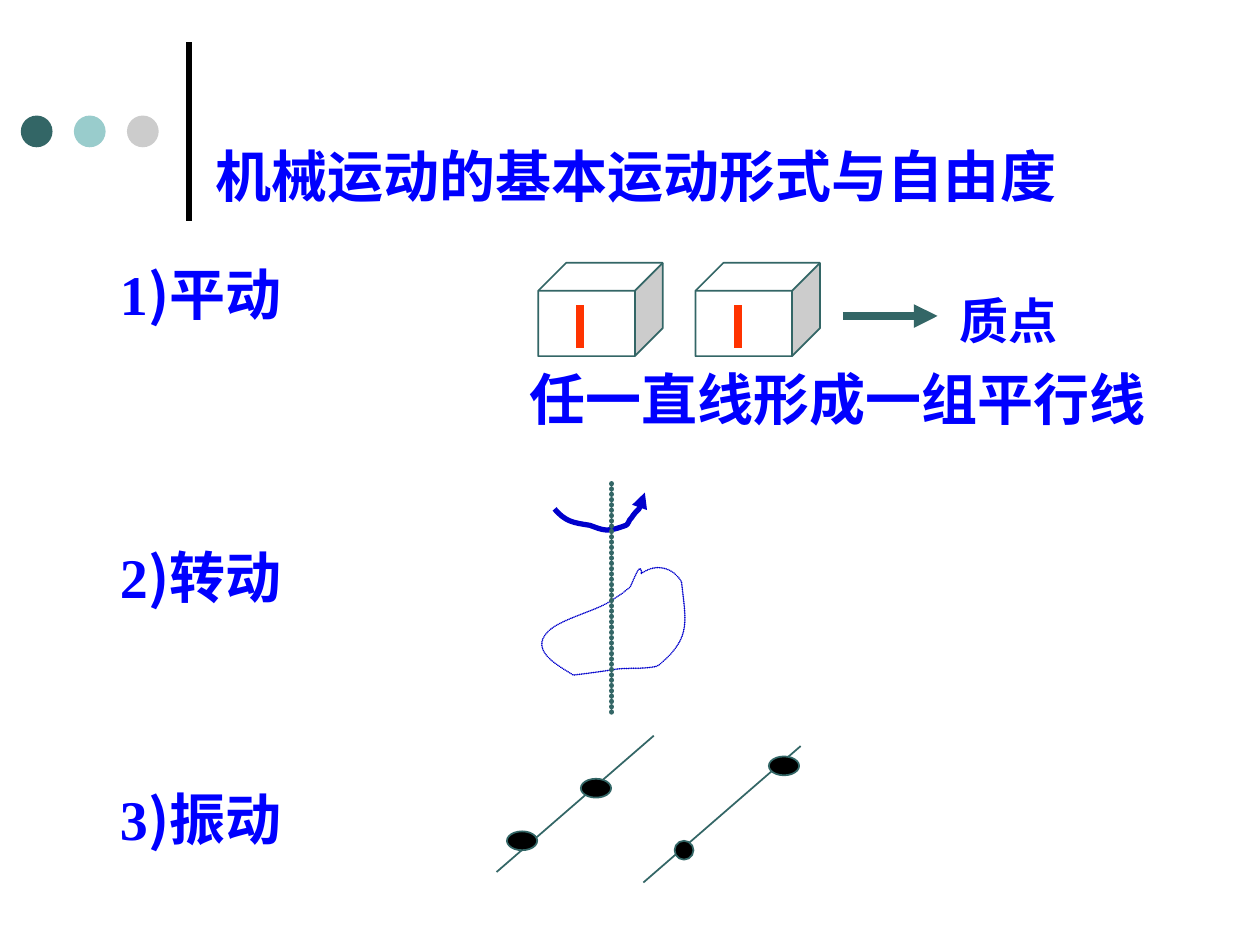
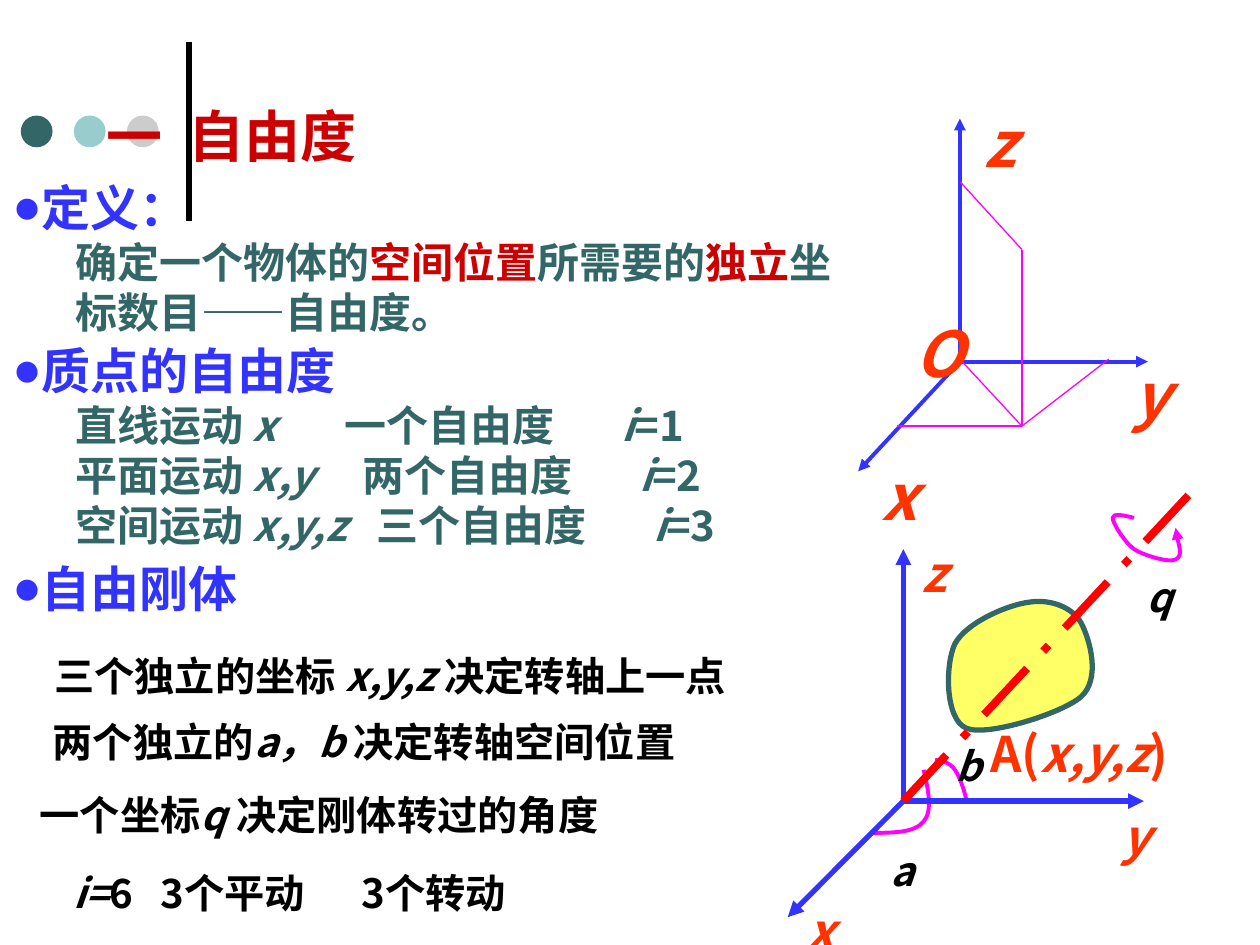
from lxml.etree import SubElement
from pptx import Presentation
from pptx.dml.color import RGBColor
from pptx.enum.dml import MSO_LINE as DASH
from pptx.enum.shapes import MSO_CONNECTOR as LINK, MSO_SHAPE as SHAPE
from pptx.oxml.ns import qn
from pptx.util import Cm, Pt

rgb = RGBColor.from_string
TEAL, BLUE, AXIS_BLUE, NAVY = "336666", "0000FF", "3333FF", "0000CC"
RED, ORANGE, MAGENTA, BLACK, WHITE = "CC0000", "FF3300", "FF00FF", "000000", "FFFFFF"
CJK, SERIF = "Noto Sans CJK SC", "Times New Roman"


def stroke(shape, color, width, arrow=False, dash=None):
    shape.line.color.rgb = rgb(color)
    shape.line.width = Pt(width)
    properties = shape.element.spPr
    outline = properties.find(qn("a:ln"))
    if dash == DASH.ROUND_DOT:
        outline.set("cap", "rnd")
        pattern = SubElement(outline, qn("a:custDash"))
        SubElement(pattern, qn("a:ds"), d="1000", sp="100000")
    elif dash:
        shape.line.dash_style = dash
    if arrow:
        SubElement(outline, qn("a:tailEnd"), type="triangle")
    SubElement(properties, qn("a:effectLst"))


def write(slide, box, lines, size, color, face=CJK, accent=None,
          tabs=(), topic=None, inset=True, wrap=True):
    frame = slide.shapes.add_textbox(*map(Cm, box)).text_frame
    frame.word_wrap = wrap
    frame.margin_left = frame.margin_right = Cm(0.25 if inset else 0)
    frame.margin_top = frame.margin_bottom = Cm(0.13 if inset else 0)
    for number, line in enumerate([topic] + lines if topic else lines):
        heads = bool(topic) and number == 0
        points, ink = (28, AXIS_BLUE) if heads else (size, color)
        paragraph = frame.add_paragraph() if number else frame.paragraphs[0]
        paragraph.line_spacing = Pt(points * 1.2)
        settings = paragraph._p.get_or_add_pPr()
        if heads:
            tint = SubElement(settings, qn("a:buClr"))
            SubElement(tint, qn("a:srgbClr"), val=ink)
            SubElement(settings, qn("a:buFont"), typeface=SERIF)
            SubElement(settings, qn("a:buChar"), char="●")
        elif tabs:
            stops = SubElement(settings, qn("a:tabLst"))
            for stop in tabs[number - bool(topic)]:
                SubElement(stops, qn("a:tab"), pos=str(Cm(stop)), algn="l")
        elif topic:
            settings.set("marL", str(Cm(1.27)))
            settings.set("indent", "0")
        for order, piece in enumerate(line.split("*")):
            if not piece:
                continue
            run = paragraph.add_run()
            run.text = piece
            marked = order % 2 == 1
            font = run.font
            font.name, font.size, font.bold = face, Pt(points), True
            font.italic = marked and accent is None
            font.color.rgb = rgb(accent if marked and accent else ink)
            SubElement(run._r.get_or_add_rPr(), qn("a:ea"), typeface=CJK)
    return frame


deck = Presentation()
deck.slide_width, deck.slide_height = Cm(25.4), Cm(19.05)
blank = deck.slide_layouts[6]
for placeholder in list(blank.placeholders):
    placeholder.element.getparent().remove(placeholder.element)
motions = deck.slides.add_slide(blank)
freedom = deck.slides.add_slide(blank)

divider = motions.shapes.add_connector(LINK.STRAIGHT, Cm(3.81), Cm(4.45), Cm(3.81), Cm(0.84))
stroke(divider, BLACK, 3)
blank.shapes.element.append(divider.element)
for place, color in enumerate([TEAL, "99CCCC", "CCCCCC"]):
    dot = motions.shapes.add_shape(SHAPE.OVAL, Cm(0.42 + place * 1.07), Cm(2.33), Cm(0.64), Cm(0.64))
    dot.fill.solid()
    dot.fill.fore_color.rgb = rgb(color)
    dot.line.fill.background()
    dot.shadow.inherit = False
    blank.shapes.element.append(dot.element)

rotating_body = [
    (12.93, 11.56), (13.23, 11.35), (13.56, 11.43), (13.74, 11.73),
    (13.82, 12.5), (13.94, 12.83), (13.36, 13.34),
    (13.31, 13.39), (13.26, 13.44), (13.21, 13.44),
    (12.95, 13.49), (12.67, 13.46), (12.42, 13.49),
    (12.14, 13.54), (11.56, 13.61), (11.56, 13.61),
    (11.33, 13.46), (10.64, 13.13), (11.05, 12.73),
    (11.28, 12.5), (11.91, 12.34), (12.22, 12.17),
    (12.32, 12.12), (12.42, 12.04), (12.55, 11.96),
    (12.6, 11.91), (12.7, 11.84), (12.7, 11.84),
    (12.73, 11.81), (12.93, 11.23), (12.93, 11.56)]
turning_arrow = [
    (11.18, 10.26), (11.4, 10.52), (11.56, 10.54), (11.89, 10.59),
    (12.17, 10.69), (12.22, 10.74), (12.62, 10.59),
    (12.67, 10.57), (12.67, 10.49), (12.73, 10.44),
    (12.78, 10.36), (12.83, 10.31), (12.88, 10.26),
    (12.93, 10.16), (13, 9.93), (13, 9.93)]
rigid_body = [
    (20.75, 12.14), (20.32, 12.19), (19.48, 12.55), (19.25, 12.98),
    (19.05, 13.41), (19.05, 14.5), (19.48, 14.68),
    (19.89, 14.86), (21.41, 14.38), (21.79, 14.05),
    (22.2, 13.69), (21.97, 12.88), (21.79, 12.55),
    (21.62, 12.24), (21.16, 12.07), (20.75, 12.14)]
angle_a = [
    (18.62, 15.52), (18.72, 15.93), (18.8, 16.36), (18.62, 16.56),
    (18.44, 16.79), (18.01, 16.79), (17.55, 16.79)]
angle_b = [
    (18.85, 15.32), (19, 15.34), (19.15, 15.37), (19.25, 15.52),
    (19.35, 15.65), (19.48, 16.05), (19.48, 16.15)]
angle_q = [
    (22.86, 10.44), (22.66, 10.39), (22.43, 10.34), (22.43, 10.44),
    (22.43, 10.54), (22.66, 10.92), (22.86, 11.07),
    (23.06, 11.2), (23.57, 11.35), (23.7, 11.28),
    (23.85, 11.2), (23.7, 10.74), (23.7, 10.64)]

for slide, knots, color, width, arrow, dash, fill in [
        (motions, rotating_body, NAVY, 1, False, DASH.ROUND_DOT, None),
        (motions, turning_arrow, NAVY, 3, True, None, None),
        (freedom, rigid_body, TEAL, 3, False, None, "FFFF66"),
        (freedom, angle_a, MAGENTA, 2.25, False, None, None),
        (freedom, angle_b, MAGENTA, 2.25, False, None, None),
        (freedom, angle_q, MAGENTA, 2.25, True, None, None)]:
    start, *rest = [(Cm(x), Cm(y)) for x, y in knots]
    outline = slide.shapes.build_freeform(*start)
    outline.add_line_segments(rest, close=knots[0] == knots[-1])
    curve = outline.convert_to_shape()
    segments = list(curve.element.iter(qn("a:lnTo")))[:len(rest)]
    for first in range(0, len(segments), 3):
        bend = SubElement(segments[first].getparent(), qn("a:cubicBezTo"))
        segments[first].addprevious(bend)
        for segment in segments[first:first + 3]:
            bend.append(segment[0])
            segment.getparent().remove(segment)
    if fill:
        curve.fill.solid()
        curve.fill.fore_color.rgb = rgb(fill)
    else:
        curve.fill.background()
    stroke(curve, color, width, arrow, dash)

for left in (10.85, 14.02):
    block = motions.shapes.add_shape(SHAPE.CUBE, Cm(left), Cm(5.3), Cm(2.51), Cm(1.88))
    block.adjustments[0] = 0.3
    block.fill.solid()
    block.fill.fore_color.rgb = rgb(WHITE)
    stroke(block, TEAL, 1)

for slide, color, width, arrow, dash, ends in [
        (motions, ORANGE, 4.5, False, None, [(11.7, 6.15, 11.7, 7.01), (14.87, 6.15, 14.87, 7.01)]),
        (motions, TEAL, 4.5, True, None, [(16.99, 6.37, 18.9, 6.37)]),
        (motions, TEAL, 3, False, DASH.ROUND_DOT, [(12.33, 9.75, 12.33, 14.4)]),
        (motions, TEAL, 1, False, None, [(10.01, 17.58, 13.18, 14.83), (12.97, 17.79, 16.14, 15.04)]),
        (freedom, AXIS_BLUE, 2.25, True, None, [
            (19.35, 7.29, 19.35, 2.39), (19.35, 7.29, 23.14, 7.29), (19.35, 7.29, 17.3, 9.5)]),
        (freedom, MAGENTA, 0.75, False, None, [
            (19.35, 3.66, 20.6, 5.03), (19.35, 7.24, 20.6, 8.59), (20.6, 5.03, 20.6, 8.59),
            (20.6, 8.59, 18.08, 8.59), (20.6, 8.59, 22.35, 7.24)]),
        (freedom, AXIS_BLUE, 3, True, None, [
            (18.21, 16.15, 18.21, 11.07), (18.21, 16.15, 23.06, 16.15), (18.21, 16.15, 15.88, 18.49)]),
        (freedom, "FF0000", 4.5, False, DASH.LONG_DASH_DOT, [(18.21, 16.15, 24.13, 9.8)])]:
    for span in ends:
        stroke(slide.shapes.add_connector(LINK.STRAIGHT, *map(Cm, span)), color, width, arrow, dash)

for left, top, width in [(10.22, 16.76, 0.61), (11.71, 15.7, 0.61),
                         (13.6, 16.95, 0.38), (15.5, 15.25, 0.61)]:
    bob = motions.shapes.add_shape(SHAPE.OVAL, Cm(left), Cm(top), Cm(width), Cm(0.38))
    bob.fill.solid()
    bob.fill.fore_color.rgb = rgb(BLACK)
    stroke(bob, TEAL, 1)

write(motions, (4.1, 2.72, 18.21, 1.6), ["机械运动的基本运动形式与自由度"], 32, BLUE, SERIF)
write(motions, (10.43, 7.21, 13.34, 1.6), ["任一直线形成一组平行线"], 32, BLUE, SERIF)
write(motions, (19.1, 5.73, 3.81, 1.45), ["质点"], 28, BLUE, SERIF)
for top, motion in [(5.11, "1*)*平动"), (10.8, "2*)*转动"), (15.68, "3*)*振动")]:
    heading = write(motions, (2.17, top, 4.65, 1.6), [motion], 32, BLUE, SERIF, accent=BLUE)
    heading.paragraphs[0].runs[1].font.name = CJK

write(freedom, (1.9, 1.92, 8.41, 1.63), ["一\t自由度"], 32, RED, tabs=[[1.66]])
write(freedom, (0, 3.45, 17.3, 3.48),
      ["确定一个物体的*空间位置*所需要的*独立*坐标数目——自由度。"], 24, TEAL,
      accent=RED, topic="定义：")
write(freedom, (0, 6.73, 16.51, 7.54),
      ["\t直线运动 *x*\t一个自由度\t*i*=1",
       "\t平面运动 *x,y*\t两个自由度\t*i*=2",
       "\t空间运动 *x,y,z*\t三个自由度\t*i*=3"], 24, TEAL, topic="质点的自由度",
      tabs=[[1.27, start, start + 5.58] for start in (6.7, 7.06, 7.34)])
write(freedom, (0, 11.13, 8.26, 1.45), [], 28, AXIS_BLUE, topic="自由刚体")

for left, top, width, statement, stops in [
        (1.09, 13.13, 16.21, "三个独立的坐标 *x,y,z *决定转轴上一点", []),
        (1.06, 14.45, 14.05, "两个独立的*a，b *决定转轴空间位置", []),
        (0.8, 15.94, 11.94, "一个坐标*q *决定刚体转过的角度", []),
        (1.48, 17.5, 12.07, "*i=*6\t3个平动\t3个转动", [1.76, 5.81])]:
    write(freedom, (left, top, width, 0.97), [statement], 23, BLACK,
          tabs=[stops] if stops else (), inset=False)

for left, top, width, height, label, size, color in [
        (17.53, 9.09, 1.27, 1.78, "*x*", 36, ORANGE),
        (22.58, 7.06, 1.27, 1.78, "*y*", 36, ORANGE),
        (19.58, 1.98, 1.27, 1.78, "*z*", 36, ORANGE),
        (18.19, 6.22, 1.27, 1.78, "*O*", 36, ORANGE),
        (19.72, 14.45, 5.26, 1.45, "A(*x,y,z*)", 28, ORANGE),
        (16, 18.03, 1.09, 1.45, "*x*", 28, ORANGE),
        (22.35, 16.13, 1.09, 1.45, "*y*", 28, ORANGE),
        (18.32, 10.83, 1.09, 1.45, "*z*", 28, ORANGE),
        (17.7, 16.92, 0.99, 1.24, "*a*", 23, BLACK),
        (19.01, 14.81, 0.99, 1.24, "*b*", 23, BLACK),
        (22.86, 11.4, 1.52, 1.24, "*q*", 23, BLACK)]:
    write(freedom, (left, top, width, height), [label], size, color, wrap=False)

deck.save("out.pptx")
